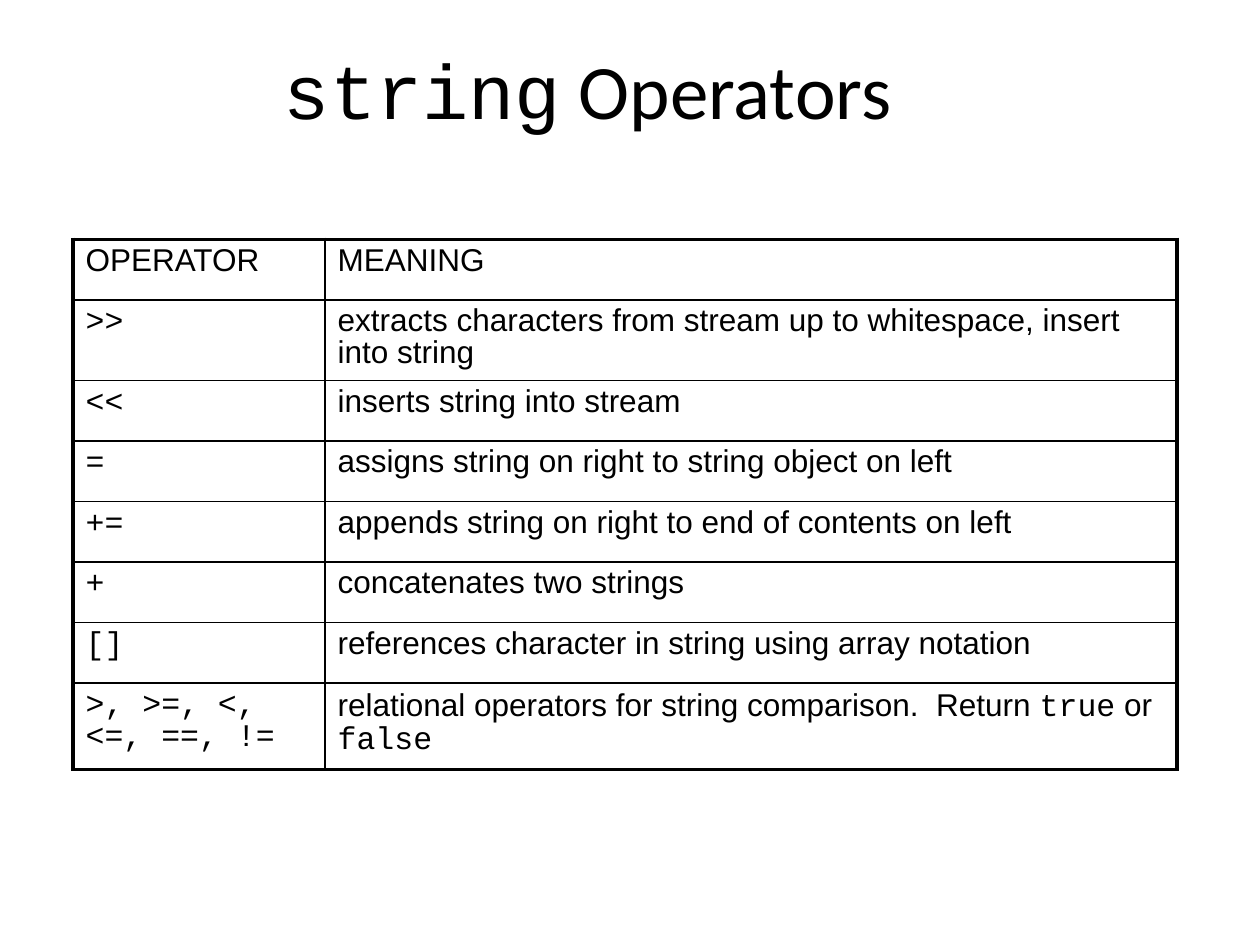
import dataclasses

import pptx
import pptx.dml.color
import pptx.enum.text
import pptx.oxml
import pptx.oxml.ns
import pptx.util
from pptx.util import Inches


@dataclasses.dataclass(frozen=True)
class Theme:
    ink: str = "000000"
    paper: str = "FFFFFF"
    title_font: str = "Calibri"
    body_font: str = "Arial"
    code_font: str = "Courier New"
    title_size: float = 44
    body_size: float = 18
    outer_line: float = 2.25
    inner_line: float = 1


THEME = Theme()

# Text between backticks is set in the code font; each cell is a list of paragraphs.
TITLE = "`string` Operators"
ROWS = [
    (["OPERATOR"], ["MEANING"]),
    (["`>>`"], ["extracts characters from stream up to whitespace, insert into string"]),
    (["`<<`"], ["inserts string into stream"]),
    (["`=`"], ["assigns string on right to string object on left"]),
    (["`+=`"], ["appends string on right to end of contents on left"]),
    (["`+`"], ["concatenates two strings"]),
    (["`[]`"], ["references character in string using array notation"]),
    (["`>, >=, <,`", "`<=, ==, !=`"],
     ["relational operators for string comparison.  Return `true` or `false`"]),
]
COLUMN_WIDTHS = [2, 6.76]
ROW_HEIGHT = 0.48
TALL_ROWS = {1: 0.64, 7: 0.69}


def write_text(para, text, *, font, size, align=None, spacing=None):
    """Fill a paragraph, switching to the code font between backticks."""
    para.alignment = align
    para.line_spacing = spacing
    for index, piece in enumerate(text.split("`")):
        if piece:
            span = para.add_run()
            span.text = piece
            span.font.name = THEME.code_font if index % 2 else font
            span.font.size = pptx.util.Pt(size)
            span.font.bold = False
            span.font.color.rgb = pptx.dml.color.RGBColor.from_string(THEME.ink)


def add_title(page, text):
    box = page.shapes.title
    box.left, box.top = Inches(0.5), Inches(0.08)
    box.width, box.height = Inches(8.33), Inches(1.25)
    box.text_frame.vertical_anchor = pptx.enum.text.MSO_ANCHOR.MIDDLE
    write_text(box.text_frame.paragraphs[0], text, font=THEME.title_font,
               size=THEME.title_size, align=pptx.enum.text.PP_ALIGN.CENTER)


def set_borders(cell, outer_sides):
    """Draw all four borders, heavier on the sides at the table's edge."""
    properties = cell._tc.get_or_add_tcPr()
    for side in "LRTB":
        points = THEME.outer_line if side in outer_sides else THEME.inner_line
        properties.append(pptx.oxml.parse_xml(
            f'<a:ln{side} {pptx.oxml.ns.nsdecls("a")} w="{pptx.util.Pt(points)}">'
            f'<a:solidFill><a:srgbClr val="{THEME.ink}"/></a:solidFill></a:ln{side}>'))


def fill_cell(cell, lines, outer_sides):
    set_borders(cell, outer_sides)
    cell.fill.background()
    cell.margin_left = cell.margin_right = Inches(0.1)
    cell.margin_top = cell.margin_bottom = Inches(0.05)
    frame = cell.text_frame
    for index, line in enumerate(lines):
        para = frame.add_paragraph() if index else frame.paragraphs[0]
        write_text(para, line, font=THEME.body_font, size=THEME.body_size, spacing=0.9)


def add_operator_table(page, rows):
    heights = [TALL_ROWS.get(index, ROW_HEIGHT) for index in range(len(rows))]
    table = page.shapes.add_table(
        len(rows), len(COLUMN_WIDTHS), Inches(0.58), Inches(1.9),
        Inches(sum(COLUMN_WIDTHS)), Inches(sum(heights))).table
    table.first_row = table.horz_banding = False
    for column, width in zip(table.columns, COLUMN_WIDTHS):
        column.width = Inches(width)
    for row_index, cells in enumerate(rows):
        table.rows[row_index].height = Inches(heights[row_index])
        for column_index, lines in enumerate(cells):
            edges = {"L": column_index == 0, "R": column_index == len(cells) - 1,
                     "T": row_index == 0, "B": row_index == len(rows) - 1}
            outer_sides = [side for side, at_edge in edges.items() if at_edge]
            fill_cell(table.cell(row_index, column_index), lines, outer_sides)


def main():
    deck = pptx.Presentation()
    deck.slide_width, deck.slide_height = Inches(10), Inches(7.5)

    # Title-only page on a plain background
    page = deck.slides.add_slide(deck.slide_layouts[5])
    page.background.fill.solid()
    page.background.fill.fore_color.rgb = pptx.dml.color.RGBColor.from_string(THEME.paper)

    # Heading and table of operators
    add_title(page, TITLE)
    add_operator_table(page, ROWS)
    deck.save("out.pptx")


if __name__ == "__main__":
    main()
